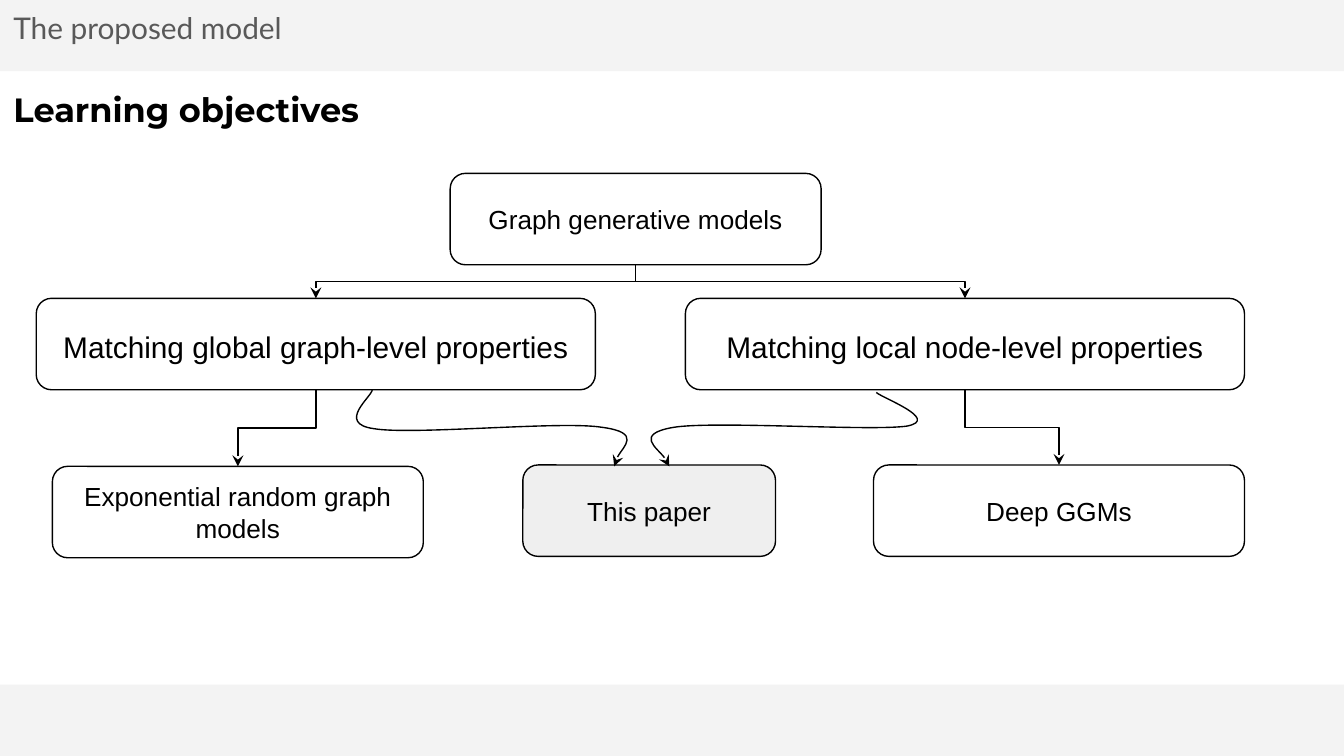
import pptx
import pptx.util
import pptx.dml.color
import pptx.enum.shapes
import pptx.enum.text
import pptx.oxml
import pptx.oxml.ns
from lxml import etree

Inches = pptx.util.Inches
Pt = pptx.util.Pt
qn = pptx.oxml.ns.qn
MSO_SHAPE = pptx.enum.shapes.MSO_SHAPE
PP_ALIGN = pptx.enum.text.PP_ALIGN
MSO_ANCHOR = pptx.enum.text.MSO_ANCHOR
SLIDE_W = 10
SLIDE_H = SLIDE_W * 9 / 16
BAND_H = 0.53
BOX_H = 0.68
TOP, BOTTOM = 0, 2  # connection sites of a rounded rectangle


def color(value):
    return pptx.dml.color.RGBColor.from_string(value)


def place(sp, left, top, width, height):
    sp.left, sp.top = Inches(left), Inches(top)
    sp.width, sp.height = Inches(width), Inches(height)


def set_text(sp, text, font, size, ink, align, anchor):
    tf = sp.text_frame
    tf.word_wrap = True
    tf.auto_size = pptx.enum.text.MSO_AUTO_SIZE.NONE
    tf.vertical_anchor = anchor
    tf.margin_left = tf.margin_right = Inches(0.1)
    tf.margin_top = tf.margin_bottom = Inches(0.1)
    tf.text = text
    p = tf.paragraphs[0]
    p.alignment = align
    p.space_before = Pt(0)
    p.font.name, p.font.size = font, Pt(size)
    p.font.color.rgb = color(ink)
    return p


def add_band(s, top):
    """Grey band across the slide, behind everything else."""
    sp = s.shapes.add_shape(MSO_SHAPE.RECTANGLE, 0, Inches(top), Inches(SLIDE_W), Inches(BAND_H))
    sp.shadow.inherit = False
    sp.fill.solid()
    sp.fill.fore_color.rgb = color("F3F3F3")
    sp.line.fill.background()
    s.shapes._spTree.insert(2, sp._element)


def add_heading(sp, box, text, font, size, ink, bold):
    place(sp, *box)
    p = set_text(sp, text, font, size, ink, PP_ALIGN.LEFT, MSO_ANCHOR.TOP)
    p.font.bold = bold


def add_node(s, left, top, width, text, size=14, fill="FFFFFF", spacing=1.0):
    sp = s.shapes.add_shape(MSO_SHAPE.ROUNDED_RECTANGLE, Inches(left), Inches(top),
                            Inches(width), Inches(BOX_H))
    sp.shadow.inherit = False
    sp.fill.solid()
    sp.fill.fore_color.rgb = color(fill)
    sp.line.color.rgb = color("000000")
    sp.line.width = Pt(0.75)
    p = set_text(sp, text, "Arial", size, "000000", PP_ALIGN.CENTER, MSO_ANCHOR.MIDDLE)
    p.line_spacing = spacing
    return sp


def style_arrow(sp):
    sp.line.color.rgb = color("000000")
    sp.line.width = Pt(0.75)
    etree.SubElement(sp.line._get_or_add_ln(), qn("a:tailEnd"), type="stealth")


def add_branch(s, parent, child):
    """Elbow arrow from the bottom of parent to the top of child."""
    cxn = s.shapes.add_connector(pptx.enum.shapes.MSO_CONNECTOR.ELBOW, 0, 0, 0, 0)
    cxn.begin_connect(parent, BOTTOM)
    cxn.end_connect(child, TOP)
    x1, y1 = parent.left + parent.width // 2, parent.top + parent.height
    x2, y2 = child.left + child.width // 2, child.top
    # The elbow starts vertically, so its frame is turned a quarter
    run, drop = abs(x2 - x1), y2 - y1
    xfrm = cxn._element.spPr.find(qn("a:xfrm"))
    for flip in ("flipH", "flipV"):
        xfrm.attrib.pop(flip, None)
    cxn.left, cxn.top = (x1 + x2 - drop) // 2, (y1 + y2 - run) // 2
    cxn.width, cxn.height = drop, run
    xfrm.set("rot", str((90 if x2 < x1 else 270) * 60000))
    if x2 > x1:
        xfrm.set("flipH", "1")
    style_arrow(cxn)
    etree.SubElement(cxn._element.spPr, qn("a:effectLst"))


def add_curve(s, box, start, curves):
    """Curved arrow; each curve holds two control points and an end point."""
    fb = s.shapes.build_freeform(Inches(start[0]), Inches(start[1]))
    fb.add_line_segments([(Inches(x), Inches(y)) for *_, (x, y) in curves], close=False)
    sp = fb.convert_to_shape()
    place(sp, *box)
    path = sp._element.spPr.find(".//" + qn("a:path"))
    path.clear()
    path.set("w", str(Inches(box[2])))
    path.set("h", str(Inches(box[3])))
    for tag, points in [("a:moveTo", [start])] + [("a:cubicBezTo", c) for c in curves]:
        step = etree.SubElement(path, qn(tag))
        for x, y in points:
            etree.SubElement(step, qn("a:pt"), x=str(Inches(x - box[0])), y=str(Inches(y - box[1])))
    sp.fill.background()
    style_arrow(sp)
    sp.shadow.inherit = False


def add_tree(s, x, y):
    """Tree of model families, with its top left corner at x, y."""
    root = add_node(s, x + 3.08, y, 2.76, "Graph generative models")
    glob, local = [
        add_node(s, x + dx, y + 0.93, 4.16, text, 16, spacing=1.15)
        for dx, text in [(0, "Matching global graph-level properties"),
                         (4.83, "Matching local node-level properties")]]
    deep = add_node(s, x + 6.23, y + 2.17, 2.76, "Deep GGMs")
    random = add_node(s, x + 0.12, y + 2.18, 2.76, "Exponential random graph models")
    add_node(s, x + 3.62, y + 2.17, 1.88, "This paper", fill="EFEFEF")
    for parent, child in [(root, glob), (root, local), (glob, random), (local, deep)]:
        add_branch(s, parent, child)

    # Curved arrows from both objectives to this paper
    def at(*points):
        return [(x + dx, y + dy) for dx, dy in points]

    add_curve(s, (x + 2.38, y + 1.61, 1.99, 0.57), *at((2.5, 1.61)), [
        at((2.5, 1.66), (2.23, 1.86), (2.51, 1.9)),
        at((2.8, 1.95), (3.91, 1.84), (4.21, 1.89)),
        at((4.51, 1.93), (4.28, 2.13), (4.3, 2.18))])
    add_curve(s, (x + 4.6, y + 1.63, 1.95, 0.55), *at((6.25, 1.63)), [
        at((6.29, 1.67), (6.73, 1.83), (6.48, 1.88)),
        at((6.22, 1.92), (5.04, 1.84), (4.74, 1.89)),
        at((4.45, 1.94), (4.72, 2.13), (4.71, 2.18))])


prs = pptx.Presentation()
prs.slide_width, prs.slide_height = Inches(SLIDE_W), Inches(SLIDE_H)
s = prs.slides.add_slide(prs.slide_layouts[0])

# Bands and headings
for top in (0, SLIDE_H - BAND_H):
    add_band(s, top)
add_heading(s.shapes.title, (0, 0.56, 8.41, BOX_H),
            "Learning objectives", "Montserrat", 18, "000000", True)
add_heading(s.placeholders[1], (0, -0.03, 8.41, 0.59),
            "The proposed model", "Lato", 16, "595959", False)

# Diagram
add_tree(s, 0.27, 1.29)

prs.save("out.pptx")
